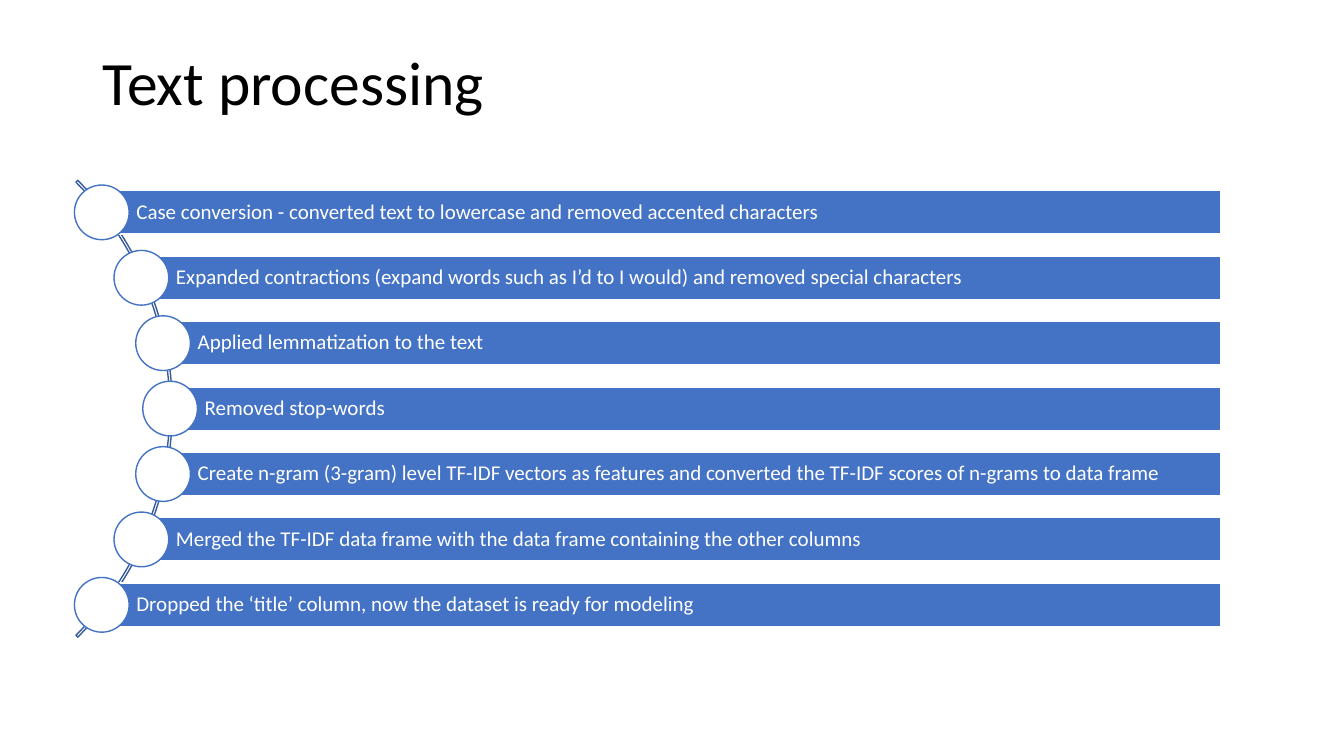
from dataclasses import dataclass

from pptx import Presentation
from pptx.dml.color import RGBColor
from pptx.enum.shapes import MSO_SHAPE
from pptx.enum.text import MSO_ANCHOR, MSO_AUTO_SIZE, PP_ALIGN
from pptx.shapes.autoshape import Shape
from pptx.slide import Slide
from pptx.util import Pt

BLACK = RGBColor(0x00, 0x00, 0x00)
WHITE = RGBColor(0xFF, 0xFF, 0xFF)
BLUE = RGBColor(0x44, 0x72, 0xC4)
DARK_BLUE = RGBColor(0x36, 0x5B, 0x9D)

FIRST_CENTER = 151.7
STEP_PITCH = 46.72
BAR_RIGHT = 872.3
BAR_HEIGHT = 31.1
CIRCLE_SIZE = 39.1


@dataclass
class Step:
    text: str
    left: float


STEPS = [
    Step("Case conversion - converted text to lowercase and removed accented characters", 72.7),
    Step("Expanded contractions (expand words such as I’d to I would) and removed special characters", 101),
    Step("Applied lemmatization to the text", 116.5),
    Step("Removed stop-words", 121.5),
    Step("Create n-gram (3-gram) level TF-IDF vectors as features and converted "
         "the TF-IDF scores of n-grams to data frame", 116.5),
    Step("Merged the TF-IDF data frame with the data frame containing the other columns", 101),
    Step("Dropped the ‘title’ column, now the dataset is ready for modeling", 72.7),
]


def write_text(shape: Shape, text: str, *, size: float, color: RGBColor,
               left_inset: float, inset: float) -> None:
    frame = shape.text_frame
    frame.word_wrap = True
    frame.auto_size = MSO_AUTO_SIZE.NONE
    frame.vertical_anchor = MSO_ANCHOR.MIDDLE
    frame.margin_left = Pt(left_inset)
    frame.margin_top = frame.margin_right = frame.margin_bottom = Pt(inset)
    paragraph = frame.paragraphs[0]
    paragraph.alignment = PP_ALIGN.LEFT
    paragraph.line_spacing = 0.9
    run = paragraph.add_run()
    run.text = text
    run.font.name = "Calibri"
    run.font.size = Pt(size)
    run.font.color.rgb = color


def add_preset(slide: Slide, kind: MSO_SHAPE, left: float, top: float, width: float,
               height: float, *, line: RGBColor, fill: RGBColor | None = None) -> Shape:
    shape = slide.shapes.add_shape(kind, Pt(left), Pt(top), Pt(width), Pt(height))
    shape.shadow.inherit = False
    if fill is None:
        shape.fill.background()
    else:
        shape.fill.solid()
        shape.fill.fore_color.rgb = fill
    shape.line.color.rgb = line
    shape.line.width = Pt(1)
    return shape


def add_title(slide: Slide, text: str) -> None:
    title = slide.shapes.title
    title.left, title.top, title.width, title.height = Pt(66), Pt(28.8), Pt(828), Pt(64.8)
    write_text(title, text, size=44, color=BLACK, left_inset=7.2, inset=3.6)


def add_arc(slide: Slide) -> None:
    arc = add_preset(slide, MSO_SHAPE.BLOCK_ARC, -338.4, 61.2, 461.5, 461.5, line=DARK_BLUE)
    for index, value in enumerate((189, 27, 0.004)):
        arc.adjustments[index] = value


def add_step(slide: Slide, step: Step, center: float) -> None:
    bar = add_preset(slide, MSO_SHAPE.RECTANGLE, step.left, center - BAR_HEIGHT / 2,
                     BAR_RIGHT - step.left, BAR_HEIGHT, line=WHITE, fill=BLUE)
    write_text(bar, step.text, size=15, color=WHITE, left_inset=24.7, inset=2.9)
    add_preset(slide, MSO_SHAPE.OVAL, step.left - CIRCLE_SIZE / 2, center - CIRCLE_SIZE / 2,
               CIRCLE_SIZE, CIRCLE_SIZE, line=BLUE, fill=WHITE)


def main() -> None:
    presentation = Presentation()
    presentation.slide_width, presentation.slide_height = Pt(960), Pt(540)
    slide = presentation.slides.add_slide(presentation.slide_layouts[5])

    # Heading
    add_title(slide, "Text processing")

    # Steps along the arc
    add_arc(slide)
    for index, step in enumerate(STEPS):
        add_step(slide, step, FIRST_CENTER + index * STEP_PITCH)

    presentation.save("out.pptx")


if __name__ == "__main__":
    main()
